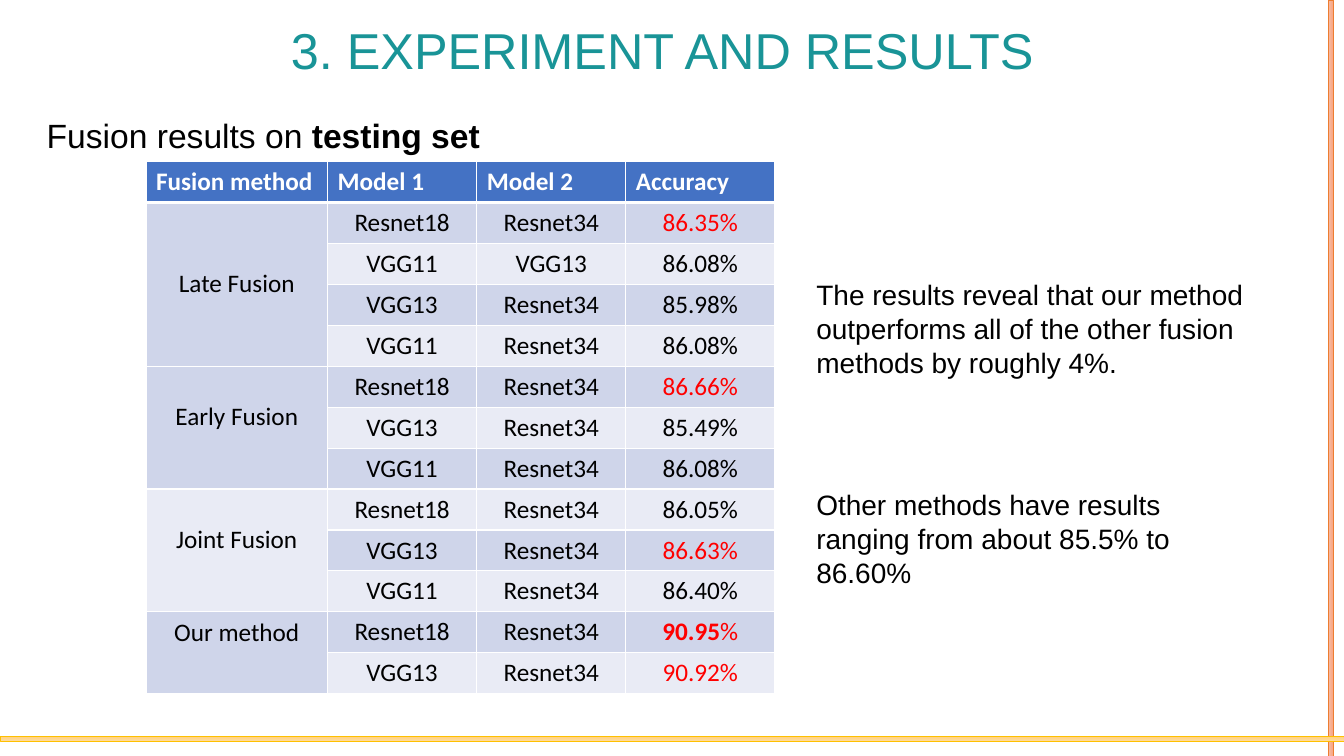
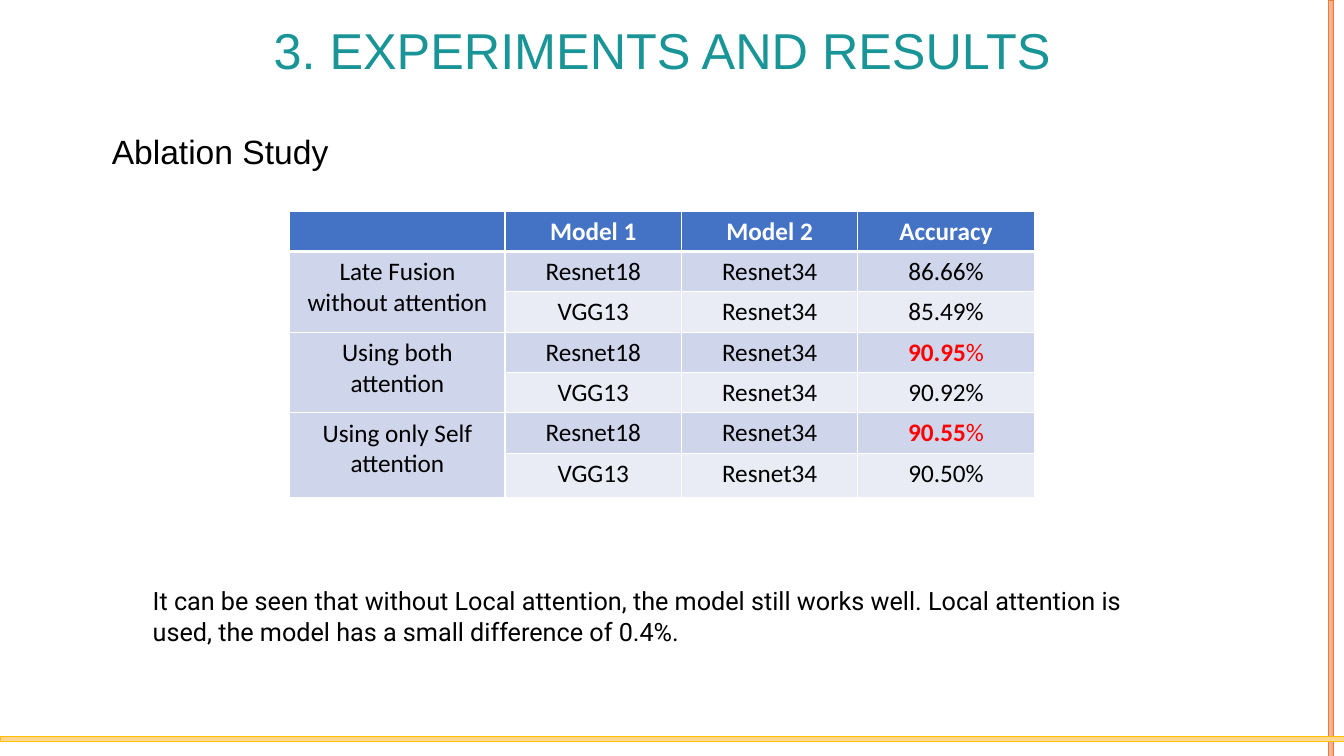
from dataclasses import dataclass

from lxml import etree
from pptx import Presentation
from pptx.dml.color import RGBColor
from pptx.enum.shapes import MSO_SHAPE
from pptx.enum.text import MSO_ANCHOR, PP_ALIGN
from pptx.oxml.ns import qn
from pptx.util import Pt

EMU_PER_PX = 9525
WIDTH, HEIGHT = 1280, 720
BLANK_LAYOUT = 6


@dataclass(frozen=True)
class Theme:
    title: str = "199497"
    text: str = "000000"
    best: str = "FF0000"
    header: str = "4472C4"
    header_text: str = "FFFFFF"
    grid: str = "FFFFFF"
    rows: tuple = ("CFD5EA", "E9EBF5")
    # Band colours: gradient start, gradient end, outline
    side_band: tuple = ("F7BDA5", "F8A582", "ED7D31")
    foot_band: tuple = ("FFDB9E", "FFD07C", "FFC000")
    title_size: int = 36
    heading_size: int = 24
    body_size: int = 20
    table_size: int = 18
    body_font: str = "Arial"
    table_font: str = "Calibri"
    note_font: str = "Roboto"


def px(length):
    return length * EMU_PER_PX


def rgb(code):
    return RGBColor.from_string(code)


class Deck:
    def __init__(self, theme):
        self.theme = theme
        self.prs = Presentation()
        self.prs.slide_width, self.prs.slide_height = px(WIDTH), px(HEIGHT)
        self.slide = None

    def new_slide(self, title):
        """Start a slide with the shared title and edge bands."""
        t = self.theme
        self.slide = self.prs.slides.add_slide(self.prs.slide_layouts[BLANK_LAYOUT])
        frame = self.text((79, 0, 1104, 101), [(title, False)],
                          size=t.title_size, color=t.title)
        frame.vertical_anchor = MSO_ANCHOR.MIDDLE
        frame.paragraphs[0].alignment = PP_ALIGN.CENTER
        frame.paragraphs[0].line_spacing = 0.9
        self.band((1265, 0, 5, HEIGHT), t.side_band, 0)
        self.band((0, 701, WIDTH, 5), t.foot_band, 90)

    def band(self, box, colors, angle):
        start, end, outline = colors
        bar = self.slide.shapes.add_shape(MSO_SHAPE.RECTANGLE, *map(px, box))
        bar.shadow.inherit = False
        bar.fill.gradient()
        bar.fill.gradient_angle = angle
        for stop, color in zip(bar.fill.gradient_stops, (start, end)):
            stop.color.rgb = rgb(color)
        bar.line.color.rgb = rgb(outline)
        bar.line.width = Pt(0.5)

    def runs(self, paragraph, parts, font, size, color):
        """Write (text, bold) parts into a paragraph."""
        for words, bold in parts:
            run = paragraph.add_run()
            run.text = words
            style = {"name": font, "size": Pt(size), "bold": bold}
            for attribute, value in style.items():
                setattr(run.font, attribute, value)
            run.font.color.rgb = rgb(color)

    def text(self, box, parts, size, font=None, color=None):
        frame = self.slide.shapes.add_textbox(*map(px, box)).text_frame
        frame.word_wrap = True
        self.runs(frame.paragraphs[0], parts, font or self.theme.body_font,
                  size, color or self.theme.text)
        return frame

    def borders(self, cell, **widths):
        properties = cell._tc.get_or_add_tcPr()
        for side in "LRTB":
            line = etree.SubElement(properties, qn(f"a:ln{side}"),
                                    w=str(Pt(widths.get(side, 1))))
            fill = etree.SubElement(line, qn("a:solidFill"))
            etree.SubElement(fill, qn("a:srgbClr"), val=self.theme.grid)

    def cell(self, cell, parts, fill, color, align):
        cell.fill.solid()
        cell.fill.fore_color.rgb = rgb(fill)
        paragraph = cell.text_frame.paragraphs[0]
        paragraph.alignment = align
        paragraph.font.size = Pt(self.theme.table_size)
        self.runs(paragraph, parts, self.theme.table_font,
                  self.theme.table_size, color)

    def table(self, origin, columns, heights, header, groups, best, top_best,
              header_align=PP_ALIGN.CENTER):
        """Draw groups of (label, label top margin, rows) under a header."""
        t = self.theme
        grid = self.slide.shapes.add_table(
            len(heights), len(columns), *map(px, origin),
            px(sum(columns)), px(sum(heights))).table
        grid.first_row = grid.horz_banding = False
        for column, width in zip(grid.columns, columns):
            column.width = px(width)
        for row, height in zip(grid.rows, heights):
            row.height = px(height)

        # Grid lines, with a heavier rule under the header
        for r in range(len(heights)):
            rule = {0: {"B": 3}, 1: {"T": 3}}.get(r, {})
            for c in range(len(columns)):
                self.borders(grid.cell(r, c), **rule)

        for c, name in enumerate(header):
            self.cell(grid.cell(0, c), [(name, True)] if name else [],
                      t.header, t.header_text, header_align)

        # Body rows, each group led by one merged label
        r = 1
        for label, margin, rows in groups:
            head = grid.cell(r, 0)
            head.merge(grid.cell(r + len(rows) - 1, 0))
            head.margin_top = px(margin)
            self.cell(head, [(label, False)], t.rows[(r - 1) % 2], t.text,
                      PP_ALIGN.CENTER)
            for values in rows:
                for c, value in enumerate(values, 1):
                    parts, color = [(value, False)], t.text
                    if value in top_best:
                        parts = [(value[:-1], True), (value[-1], False)]
                    if value in best + top_best:
                        color = t.best
                    self.cell(grid.cell(r, c), parts, t.rows[(r - 1) % 2],
                              color, PP_ALIGN.CENTER)
                r += 1


def fusion_slide(deck):
    t = deck.theme
    deck.new_slide("3. EXPERIMENT AND RESULTS")
    deck.text((35, 105, 477, 48),
              [("Fusion results on ", False), ("testing set", True)], t.heading_size)
    groups = [
        ("Late Fusion", 63, [("Resnet18", "Resnet34", "86.35%"),
                             ("VGG11", "VGG13", "86.08%"),
                             ("VGG13", "Resnet34", "85.98%"),
                             ("VGG11", "Resnet34", "86.08%")]),
        ("Early Fusion", 34, [("Resnet18", "Resnet34", "86.66%"),
                              ("VGG13", "Resnet34", "85.49%"),
                              ("VGG11", "Resnet34", "86.08%")]),
        ("Joint Fusion", 34, [("Resnet18", "Resnet34", "86.05%"),
                              ("VGG13", "Resnet34", "86.63%"),
                              ("VGG11", "Resnet34", "86.40%")]),
        ("Our method", 5, [("Resnet18", "Resnet34", "90.95%"),
                           ("VGG13", "Resnet34", "90.92%")]),
    ]
    deck.table((139, 154), [173] + [142] * 3, [39] * 13,
               ["Fusion method", "Model 1", "Model 2", "Accuracy"], groups,
               best=("86.35%", "86.66%", "86.63%", "90.92%"),
               top_best=("90.95%",), header_align=PP_ALIGN.LEFT)
    # Findings
    deck.text((768, 260, 468, 107),
              [("The results reveal that our method outperforms all of the other "
                "fusion methods by roughly 4%.", False)], t.body_size)
    deck.text((768, 460, 431, 107),
              [("Other methods have results ranging from about 85.5% to 86.60%",
                False)], t.body_size)


def ablation_slide(deck):
    t = deck.theme
    deck.new_slide("3. EXPERIMENTS AND RESULTS")
    deck.text((97, 120, 518, 48), [("Ablation Study", False)], t.heading_size)
    accuracies = [("Late Fusion without attention", "86.66%", "85.49%"),
                  ("Using both attention", "90.95%", "90.92%"),
                  ("Using only Self attention", "90.55%", "90.50%")]
    groups = [(label, 5, [("Resnet18", "Resnet34", resnet),
                          ("VGG13", "Resnet34", vgg)])
              for label, resnet, vgg in accuracies]
    deck.table((276, 201), [205] + [168] * 3, [38] * 6 + [42],
               ["", "Model 1", "Model 2", "Accuracy"], groups,
               best=(), top_best=("90.95%", "90.55%"))
    # Conclusion
    deck.text((136, 553, 957, 68),
              [("It can be seen that without Local attention, the model still works "
                "well. Local attention is used, the model has a small difference of "
                "0.4%.", False)], t.table_size, font=t.note_font)


def main():
    deck = Deck(Theme())
    fusion_slide(deck)
    ablation_slide(deck)
    deck.prs.save("out.pptx")


if __name__ == "__main__":
    main()
